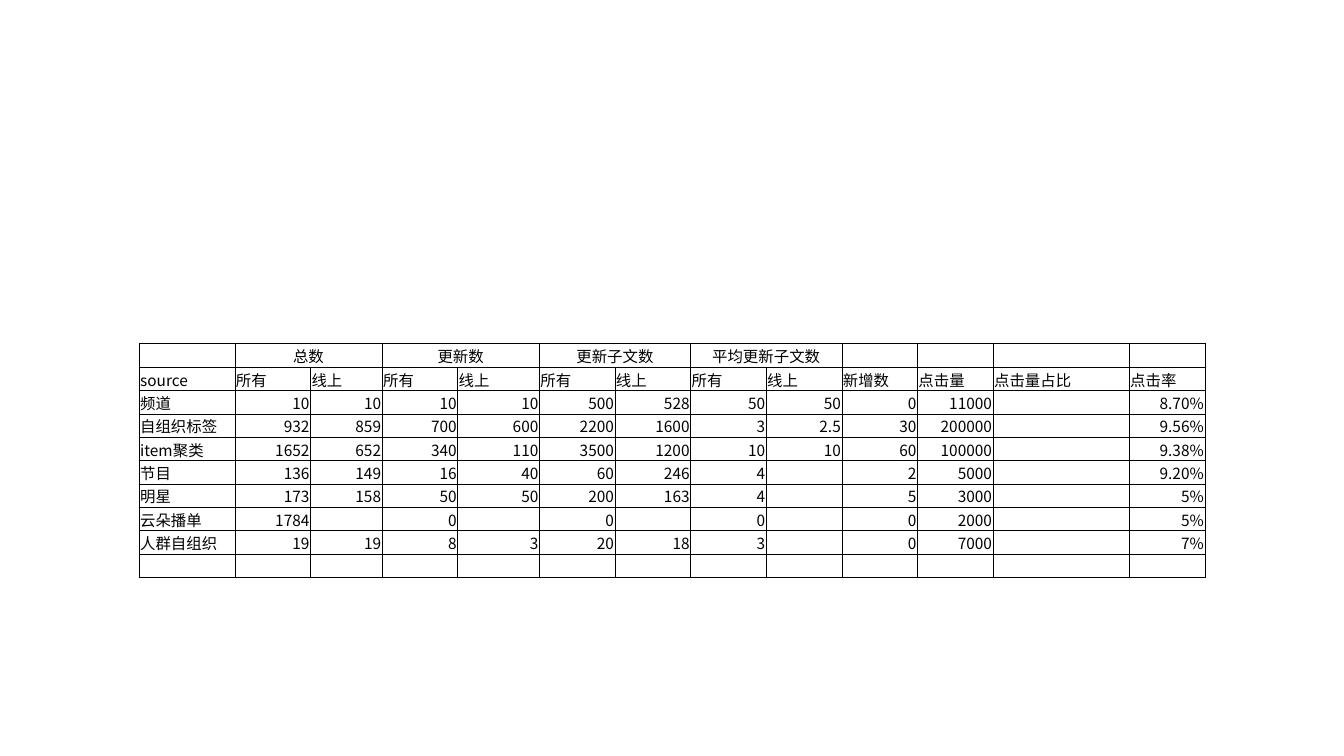
from lxml import etree
from pptx import Presentation
from pptx.dml.color import RGBColor
from pptx.enum.text import MSO_ANCHOR, PP_ALIGN
from pptx.oxml.ns import qn
from pptx.util import Inches, Pt

# Content
GROUPS = ["总数", "更新数", "更新子文数", "平均更新子文数"]
HEADINGS = ["source"] + ["所有", "线上"] * len(GROUPS) + ["新增数", "点击量", "点击量占比", "点击率"]
SOURCES = [
    ("频道", "10", "10", "10", "10", "500", "528", "50", "50", "0", "11000", "", "8.70%"),
    ("自组织标签", "932", "859", "700", "600", "2200", "1600", "3", "2.5", "30", "200000", "", "9.56%"),
    ("item聚类", "1652", "652", "340", "110", "3500", "1200", "10", "10", "60", "100000", "", "9.38%"),
    ("节目", "136", "149", "16", "40", "60", "246", "4", "", "2", "5000", "", "9.20%"),
    ("明星", "173", "158", "50", "50", "200", "163", "4", "", "5", "3000", "", "5%"),
    ("云朵播单", "1784", "", "0", "", "0", "", "0", "", "0", "2000", "", "5%"),
    ("人群自组织", "19", "19", "8", "3", "20", "18", "3", "", "0", "7000", "", "7%"),
]

# Layout and style
LEFT, TOP, ROW_H = 1.38, 3.41, 0.19
COL_W = [0.95, 0.75, 0.71, 0.75, 0.81] + [0.75] * 6 + [1.35, 0.75]
FONT, SIZE, INK = "Noto Sans CJK SC", 11, "000000"
BORDER_PT = 0.5


def rgb(color):
    return RGBColor.from_string(color)


def add_borders(cell):
    tcPr = cell._tc.get_or_add_tcPr()
    for i, side in enumerate(("lnL", "lnR", "lnT", "lnB")):
        ln = etree.Element(qn(f"a:{side}"), w=str(Pt(BORDER_PT)))
        fill = etree.SubElement(ln, qn("a:solidFill"))
        etree.SubElement(fill, qn("a:srgbClr"), val=INK)
        tcPr.insert(i, ln)


def write_cell(cell, text, align):
    cell.margin_left = cell.margin_right = cell.margin_top = Inches(0.01)
    cell.margin_bottom = 0
    cell.vertical_anchor = MSO_ANCHOR.BOTTOM
    cell.fill.background()
    add_borders(cell)
    p = cell.text_frame.paragraphs[0]
    p.alignment = align
    if text:
        r = p.add_run()
        r.text = text
        r.font.name = FONT
        r.font.size = Pt(SIZE)
        r.font.color.rgb = rgb(INK)
        etree.SubElement(r.font._element, qn("a:ea"), typeface=FONT)
    else:
        # Empty cells keep the height of a text line
        end = etree.SubElement(p._p, qn("a:endParaRPr"), sz=str(SIZE * 100))
        for tag in ("a:latin", "a:ea"):
            etree.SubElement(end, qn(tag), typeface=FONT)


def main():
    prs = Presentation()
    prs.slide_width, prs.slide_height = Inches(13.33), Inches(7.5)
    slide = prs.slides.add_slide(prs.slide_layouts[6])

    # Rows: group headings, column headings, sources, one empty row
    blank = [""] * len(HEADINGS)
    top_row = blank[:]
    top_row[1:1 + 2 * len(GROUPS):2] = GROUPS
    rows = [top_row, HEADINGS, *SOURCES, blank]

    # Table
    table = slide.shapes.add_table(
        len(rows), len(COL_W), Inches(LEFT), Inches(TOP),
        Inches(sum(COL_W)), Inches(ROW_H * len(rows))).table
    table.first_row = table.horz_banding = False
    for col, width in zip(table.columns, COL_W):
        col.width = Inches(width)

    for i, row in enumerate(rows):
        table.rows[i].height = Inches(ROW_H)
        for j, text in enumerate(row):
            if i == 0:
                align = PP_ALIGN.CENTER
            elif i == 1 or j == 0:
                align = PP_ALIGN.LEFT
            else:
                align = PP_ALIGN.RIGHT
            write_cell(table.cell(i, j), text, align)

    # Each group heading spans its pair of columns
    for k in range(len(GROUPS)):
        j = 1 + 2 * k
        table.cell(0, j).merge(table.cell(0, j + 1))

    prs.save("out.pptx")


if __name__ == "__main__":
    main()
